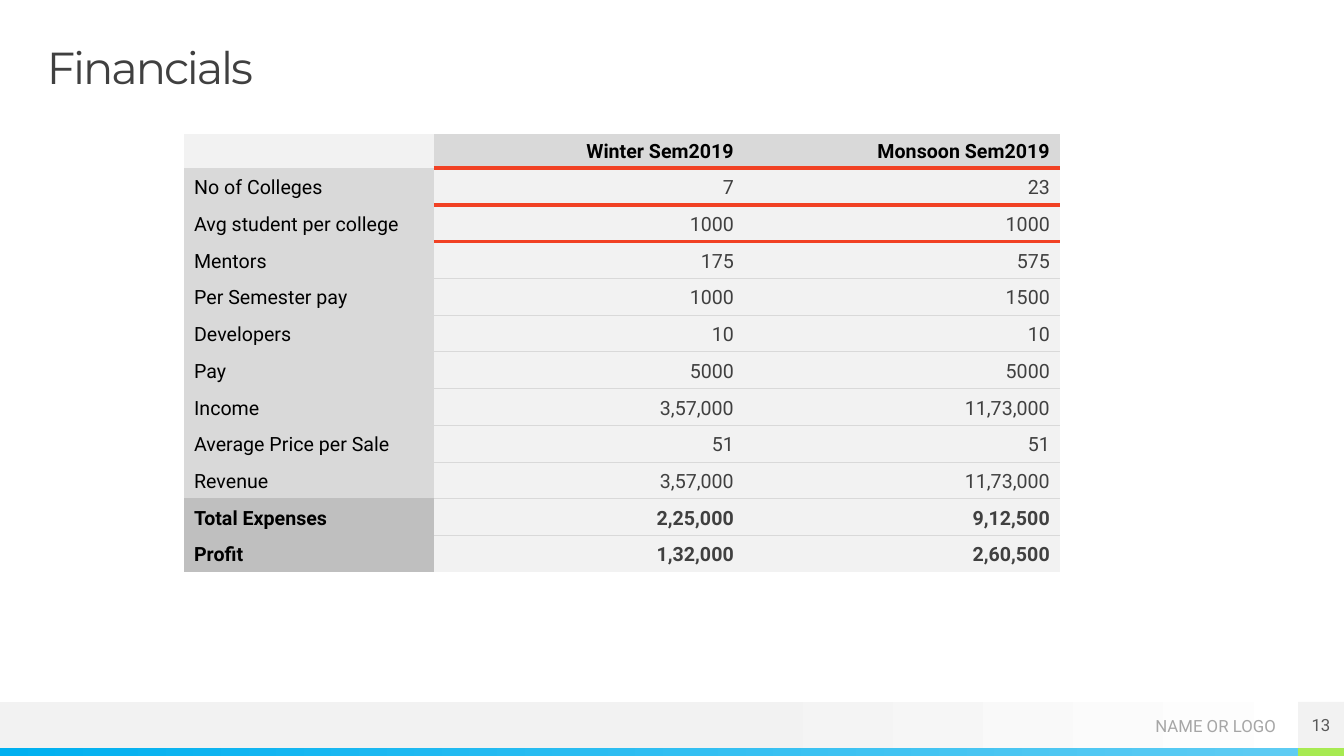
import pptx
import pptx.util
import pptx.dml.color
import pptx.enum.shapes
import pptx.enum.text
import pptx.oxml
import pptx.oxml.ns

RGBColor = pptx.dml.color.RGBColor
ALIGN = pptx.enum.text.PP_ALIGN
ANCHOR = pptx.enum.text.MSO_ANCHOR
Pt = pptx.util.Pt
qn = pptx.oxml.ns.qn

BLACK = RGBColor(0x00, 0x00, 0x00)
WHITE = RGBColor(0xFF, 0xFF, 0xFF)
INK = RGBColor(0x40, 0x40, 0x40)
NUMBER_GREY = RGBColor(0x59, 0x59, 0x59)
FOOTER_GREY = RGBColor(0xA6, 0xA6, 0xA6)
PALE = RGBColor(0xF2, 0xF2, 0xF2)
LIGHT = RGBColor(0xD9, 0xD9, 0xD9)
MID = RGBColor(0xBF, 0xBF, 0xBF)
RED = RGBColor(0xF1, 0x41, 0x24)
BLUE = RGBColor(0x00, 0xB0, 0xF0)
SKY = RGBColor(0x5E, 0xCC, 0xF3)
GREEN = RGBColor(0xA7, 0xEA, 0x52)

PX_PER_INCH = 100.8
SLIDE_W, SLIDE_H = 1344, 756
NO_STYLE = "{2D5ABB26-0587-4C30-8999-92F81FD0307C}"

ROWS = [
    ("", "Winter Sem2019", "Monsoon Sem2019"),
    ("No of Colleges", "7", "23"),
    ("Avg student per college", "1000", "1000"),
    ("Mentors", "175", "575"),
    ("Per Semester pay", "1000", "1500"),
    ("Developers", "10", "10"),
    ("Pay", "5000", "5000"),
    ("Income", "3,57,000", "11,73,000"),
    ("Average Price per Sale", "51", "51"),
    ("Revenue", "3,57,000", "11,73,000"),
    ("Total Expenses", "2,25,000", "9,12,500"),
    ("Profit", "1,32,000", "2,60,500"),
]
FIRST_TOTAL = 10
RED_RULES = 3


def px(n):
    return pptx.util.Emu(round(n * 914400 / PX_PER_INCH))


def write(tf, text, size, color, align, font="Roboto", bold=False):
    tf.text = text
    p = tf.paragraphs[0]
    p.alignment = align
    for r in p.runs:
        r.font.name = font
        r.font.size = Pt(size)
        r.font.bold = bold
        r.font.color.rgb = color
    return p


def clear_margins(tf):
    tf.margin_left = tf.margin_top = tf.margin_right = tf.margin_bottom = 0


def add_text(slide, x, y, w, h, text, size, color, align, font="Roboto"):
    tf = slide.shapes.add_textbox(px(x), px(y), px(w), px(h)).text_frame
    tf.word_wrap = True
    tf.vertical_anchor = ANCHOR.MIDDLE
    clear_margins(tf)
    return write(tf, text, size, color, align, font)


def add_bar(slide, x, y, w, h, *stops):
    """Add a borderless rectangle; stops is one colour or two (percent, colour) pairs."""
    sp = slide.shapes.add_shape(pptx.enum.shapes.MSO_SHAPE.RECTANGLE,
                                px(x), px(y), px(w), px(h))
    sp.shadow.inherit = False
    sp.line.fill.background()
    if len(stops) == 1:
        sp.fill.solid()
        sp.fill.fore_color.rgb = stops[0]
    else:
        sp.fill.gradient()
        sp.fill.gradient_angle = 0
        for stop, (percent, color) in zip(sp.fill.gradient_stops, stops):
            stop.position = percent / 100
            stop.color.rgb = color
    return sp


def add_title(slide, x, y, w, h):
    p = add_text(slide, x, y, w, h, "Financials", 32, INK, ALIGN.LEFT, "Montserrat")
    p.line_spacing = 0.9
    p.runs[0].font._element.set("spc", "-150")


def add_footer(slide, x, y, w, h):
    strip = 8
    badge = h - strip
    split = x + w - badge
    add_bar(slide, x, y, w, badge, (53, PALE), (100, WHITE))
    add_bar(slide, x, y + badge, w - badge, strip, (0, BLUE), (100, SKY))
    add_bar(slide, split, y + badge, badge, strip, GREEN)
    add_text(slide, split - 247, y, 225, badge + 1, "NAME OR LOGO", 12,
             FOOTER_GREY, ALIGN.RIGHT)
    sp = add_bar(slide, split, y, badge, badge, PALE)
    sp.text_frame.vertical_anchor = ANCHOR.MIDDLE
    clear_margins(sp.text_frame)
    write(sp.text_frame, "13", 12, NUMBER_GREY, ALIGN.CENTER)


def set_border(cell, tag, color, points):
    tcPr = cell._tc.get_or_add_tcPr()
    ln = pptx.oxml.parse_xml(
        f'<a:{tag} xmlns:a="http://schemas.openxmlformats.org/drawingml/2006/main" '
        f'w="{Pt(points)}"><a:solidFill><a:srgbClr val="{color}"/></a:solidFill></a:{tag}>')
    borders = [child for child in tcPr if child.tag in (qn("a:lnT"), qn("a:lnB"))]
    tcPr.insert(len(borders), ln)


def rule_below(row):
    """Return the colour and width of the line under a row of figures."""
    return (RED, 3) if row < RED_RULES else (LIGHT, 0.25)


def fill_cell(cell, row, col, text):
    header, total, label = row == 0, row >= FIRST_TOTAL, col == 0
    if label:
        fill = PALE if header else MID if total else LIGHT
    else:
        fill = LIGHT if header else PALE
    cell.fill.solid()
    cell.fill.fore_color.rgb = fill
    cell.vertical_anchor = ANCHOR.BOTTOM
    if not text:
        cell.margin_top = cell.margin_bottom = 0
        return
    write(cell.text_frame, text, 14, BLACK if header or label else INK,
          ALIGN.LEFT if label else ALIGN.RIGHT, bold=header or total)
    if not label:
        if 0 < row <= FIRST_TOTAL:
            set_border(cell, "lnT", *rule_below(row - 1))
        if row < FIRST_TOTAL:
            set_border(cell, "lnB", *rule_below(row))


def add_financials(slide, x, y, w, h):
    label_w, winter_w, header_h = 250, 310, 34
    widths = [label_w, winter_w, w - label_w - winter_w]
    frame = slide.shapes.add_table(len(ROWS), len(widths), px(x), px(y), px(w), px(h))
    table = frame.table
    table.first_row = table.horz_banding = False
    next(frame._element.iter(qn("a:tableStyleId"))).text = NO_STYLE
    for column, width in zip(table.columns, widths):
        column.width = px(width)
    body_h = (h - header_h) / (len(ROWS) - 1)
    for i, values in enumerate(ROWS):
        table.rows[i].height = px(body_h if i else header_h)
        for j, text in enumerate(values):
            fill_cell(table.cell(i, j), i, j, text)


def main():
    prs = pptx.Presentation()
    prs.slide_width, prs.slide_height = px(SLIDE_W), px(SLIDE_H)
    slide = prs.slides.add_slide(prs.slide_layouts[6])
    add_footer(slide, 0, 702, SLIDE_W, SLIDE_H - 702)
    add_title(slide, 47, 47, 1250, 47)
    add_financials(slide, 184, 134, 876, 438)
    prs.save("out.pptx")


if __name__ == "__main__":
    main()
